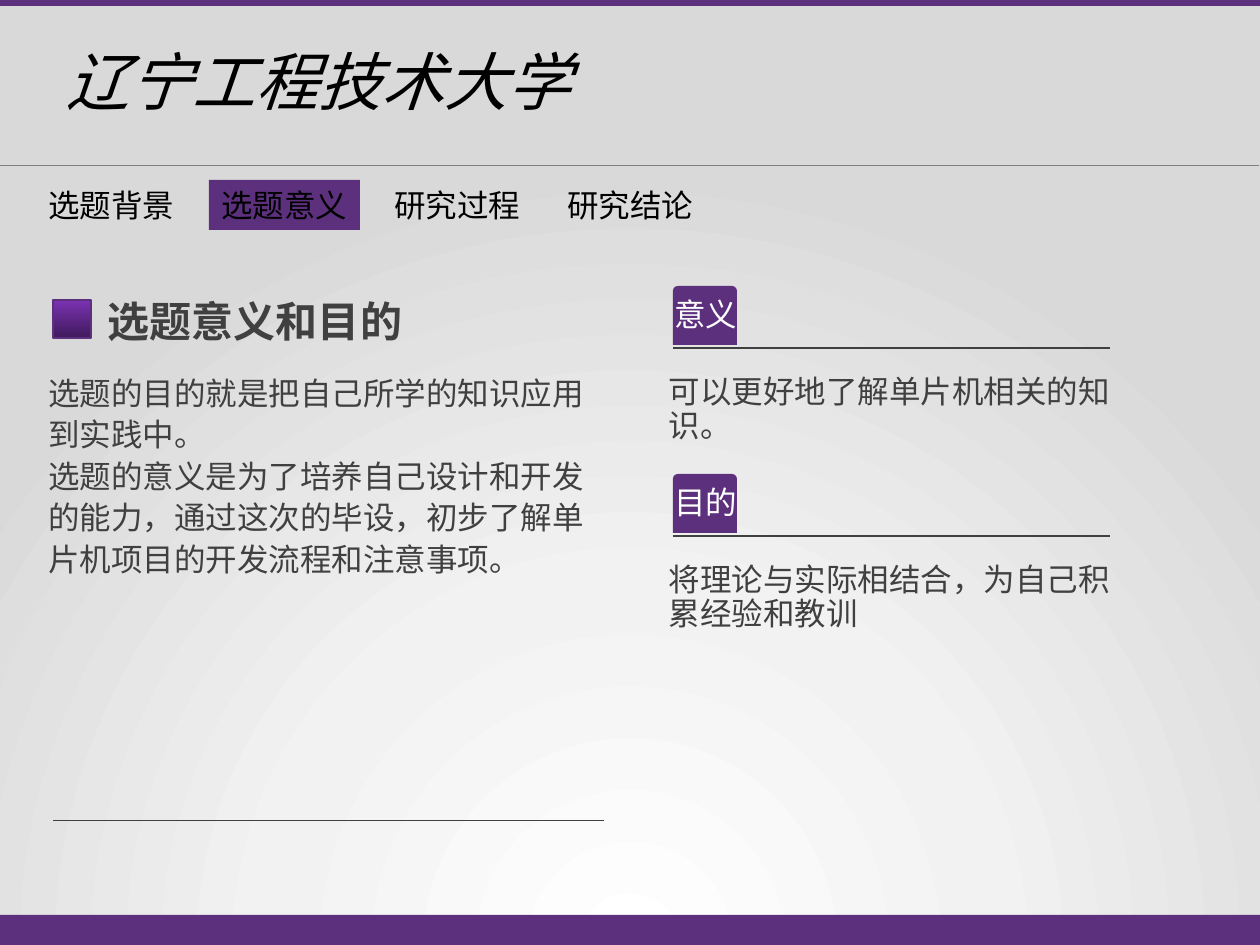
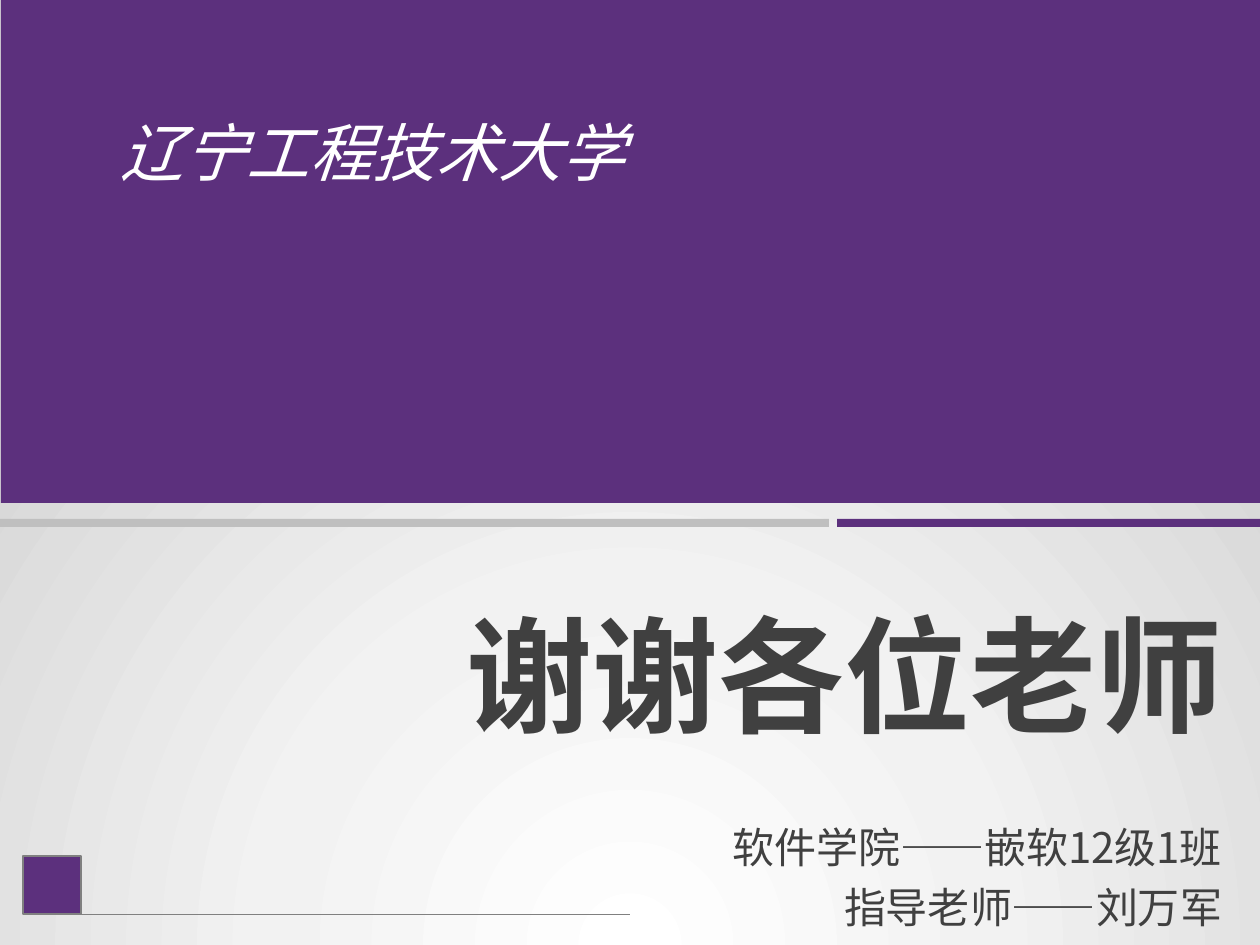
import pptx
import pptx.dml.color
import pptx.enum.shapes
import pptx.enum.text
import pptx.oxml
import pptx.oxml.ns
import pptx.util

EMU_PER_PX = 914400 / 126
SLIDE_W, SLIDE_H = 1260, 945
TITLE_ONLY = 5

COLORS = {
    "purple": "5C307D",
    "purple_light": "7B32B2",
    "purple_dark": "401A5D",
    "black": "000000",
    "white": "FFFFFF",
    "ink": "404040",
    "grey": "808080",
    "silver": "BFBFBF",
}
BACKDROP = ((0, "FFFFFF"), (46, "F2F2F2"), (100, "D9D9D9"))
CJK, LATIN = "Noto Sans CJK SC", "Calibri"
UNIVERSITY = "辽宁工程技术大学"
STEPS = ("选题背景", "选题意义", "研究过程", "研究结论")

SHAPES = pptx.enum.shapes.MSO_SHAPE
ALIGN = pptx.enum.text.PP_ALIGN
ANCHOR = pptx.enum.text.MSO_ANCHOR


def px(length):
    return pptx.util.Emu(round(length * EMU_PER_PX))


def rgb(color):
    return pptx.dml.color.RGBColor.from_string(COLORS[color])


# Basic parts
def add_block(slide, box, color, preset=SHAPES.RECTANGLE, outline=None):
    block = slide.shapes.add_shape(preset, *map(px, box))
    block.shadow.inherit = False
    block.fill.solid()
    block.fill.fore_color.rgb = rgb(color)
    if outline:
        block.line.color.rgb = rgb(outline)
        block.line.width = pptx.util.Pt(1)
    else:
        block.line.fill.background()
    return block


def add_rule(slide, x, y, width, color, weight=0.5):
    rule = slide.shapes.add_connector(
        pptx.enum.shapes.MSO_CONNECTOR.STRAIGHT, px(x), px(y), px(x + width), px(y))
    rule.line.color.rgb = rgb(color)
    rule.line.width = pptx.util.Pt(weight)
    properties = rule.element.xpath("p:spPr")[0]
    properties.append(pptx.oxml.parse_xml(f"<a:effectLst {pptx.oxml.ns.nsdecls('a')}/>"))


def write(holder, lines, size, color, font=CJK, align=ALIGN.LEFT, spacing=1.0,
          wrap=True, insets=(13, 6), anchor=ANCHOR.TOP, bold=False, italic=False):
    frame = holder.text_frame
    frame.auto_size = pptx.enum.text.MSO_AUTO_SIZE.NONE
    frame.word_wrap = wrap
    frame.vertical_anchor = anchor
    frame.margin_left = frame.margin_right = px(insets[0])
    frame.margin_top = frame.margin_bottom = px(insets[1])
    for index, line in enumerate(lines):
        paragraph = frame.add_paragraph() if index else frame.paragraphs[0]
        paragraph.alignment = align
        paragraph.line_spacing = spacing
        run = paragraph.add_run()
        run.text = line
        run.font.name = font
        run.font.size = pptx.util.Pt(size)
        run.font.bold = bold
        run.font.italic = italic
        run.font.color.rgb = rgb(color)
        # East Asian typeface follows the latin one
        run.font._element.xpath("a:latin")[0].addnext(pptx.oxml.parse_xml(
            f'<a:ea {pptx.oxml.ns.nsdecls("a")} typeface="{CJK}"/>'))


def add_text(slide, box, lines, size, color, **style):
    write(slide.shapes.add_textbox(*map(px, box)), lines, size, color, **style)


def set_title(slide, box, text, size, **style):
    title = slide.shapes.title
    title.left, title.top, title.width, title.height = map(px, box)
    write(title, [text], size, "ink", bold=True, **style)


def add_university(slide, x, y, color):
    add_text(slide, (x, y, 595, 100), [UNIVERSITY], 36, color, italic=True)


# Shared backdrop: a glow rising from below the slide
def set_backdrop(master):
    master.background.fill.solid()
    stops = "".join(f'<a:gs pos="{position * 1000}"><a:srgbClr val="{color}"/></a:gs>'
                    for position, color in BACKDROP)
    glow = pptx.oxml.parse_xml(
        f'<a:gradFill {pptx.oxml.ns.nsdecls("a")} rotWithShape="1"><a:gsLst>{stops}</a:gsLst>'
        '<a:path path="circle"><a:fillToRect l="50000" t="130000" r="50000" b="-30000"/>'
        '</a:path></a:gradFill>')
    flat = master.element.xpath(".//p:bgPr/a:solidFill")[0]
    flat.getparent().replace(flat, glow)


# Regions of the content slide
def add_frame(slide):
    add_block(slide, (0, 0, SLIDE_W, 6), "purple")
    add_rule(slide, 0, 165, SLIDE_W - 1, "grey")
    add_block(slide, (0, 915, SLIDE_W, 30), "purple")
    add_university(slide, 54, 37, "black")


def add_navigation(slide, x, y, current):
    for index, step in enumerate(STEPS):
        box = (x + 173 * index, y, 151, 50)
        if step == current:
            tab = add_block(slide, box, "purple")
        else:
            tab = slide.shapes.add_textbox(*map(px, box))
        write(tab, [step], 18, "black", align=ALIGN.CENTER, wrap=False)


def add_summary(slide, x, y, heading, lines):
    marker = add_block(slide, (x + 18, y + 10, 38, 38), "purple", outline="purple")
    marker.fill.gradient()
    marker.fill.gradient_angle = 270
    for stop, color in zip(marker.fill.gradient_stops, ("purple_light", "purple_dark")):
        stop.color.rgb = rgb(color)
    set_title(slide, (x + 60, y - 1, 495, 63), heading, 24, font=LATIN)
    add_text(slide, (x, y + 74, 588, 220), lines, 18, "ink", font=LATIN, spacing=1.1)
    add_rule(slide, x + 18, y + 530, 551, "ink")


def add_point(slide, x, y, label, detail):
    add_rule(slide, x, y + 62, 437, "ink", 1)
    tab = add_block(slide, (x, y, 64, 59), "purple", SHAPES.ROUND_2_SAME_RECTANGLE)
    tab.adjustments[0] = 0.08
    write(tab, [label], 18, "white", font=LATIN, spacing=0.9, wrap=False,
          insets=(0, 0), anchor=ANCHOR.MIDDLE)
    add_text(slide, (x - 9, y + 85, 469, 123), [detail], 18, "ink", font=LATIN,
             spacing=0.9, insets=(5, 5))


def build_significance(slide):
    add_frame(slide)
    add_navigation(slide, 36, 180, "选题意义")
    add_summary(slide, 35, 290, "选题意义和目的", (
        "选题的目的就是把自己所学的知识应用到实践中。",
        "选题的意义是为了培养自己设计和开发的能力，通过这次的毕设，"
        "初步了解单片机项目的开发流程和注意事项。"))
    points = (("意义", "可以更好地了解单片机相关的知识。"),
              ("目的", "将理论与实际相结合，为自己积累经验和教训"))
    for index, (label, detail) in enumerate(points):
        add_point(slide, 673, 286 + 188 * index, label, detail)


# Regions of the closing slide
def add_cover(slide, height):
    add_block(slide, (1, 0, SLIDE_W - 1, height), "purple")
    add_university(slide, 108, 108, "white")
    add_block(slide, (0, height + 16, 829, 8), "silver")
    add_block(slide, (837, height + 16, SLIDE_W - 837, 8), "purple")


def add_corner(slide, x, y, side):
    add_block(slide, (x, y, side, side), "purple", outline="grey")
    add_rule(slide, x, y + side, SLIDE_W // 2 - x, "grey")


def build_thanks(slide):
    add_cover(slide, 503)
    add_corner(slide, 23, 856, 58)
    set_title(slide, (416, 591, 820, 164), "谢谢各位老师", 72, align=ALIGN.RIGHT)
    add_text(slide, (158, 811, 1064, 121), ("软件学院——嵌软12级1班", "指导老师——刘万军"),
             24, "ink", align=ALIGN.RIGHT, spacing=1.2, insets=(0, 0))


def main():
    deck = pptx.Presentation()
    deck.slide_width, deck.slide_height = px(SLIDE_W), px(SLIDE_H)
    set_backdrop(deck.slide_master)
    for build in (build_significance, build_thanks):
        build(deck.slides.add_slide(deck.slide_layouts[TITLE_ONLY]))
    deck.save("out.pptx")


if __name__ == "__main__":
    main()
